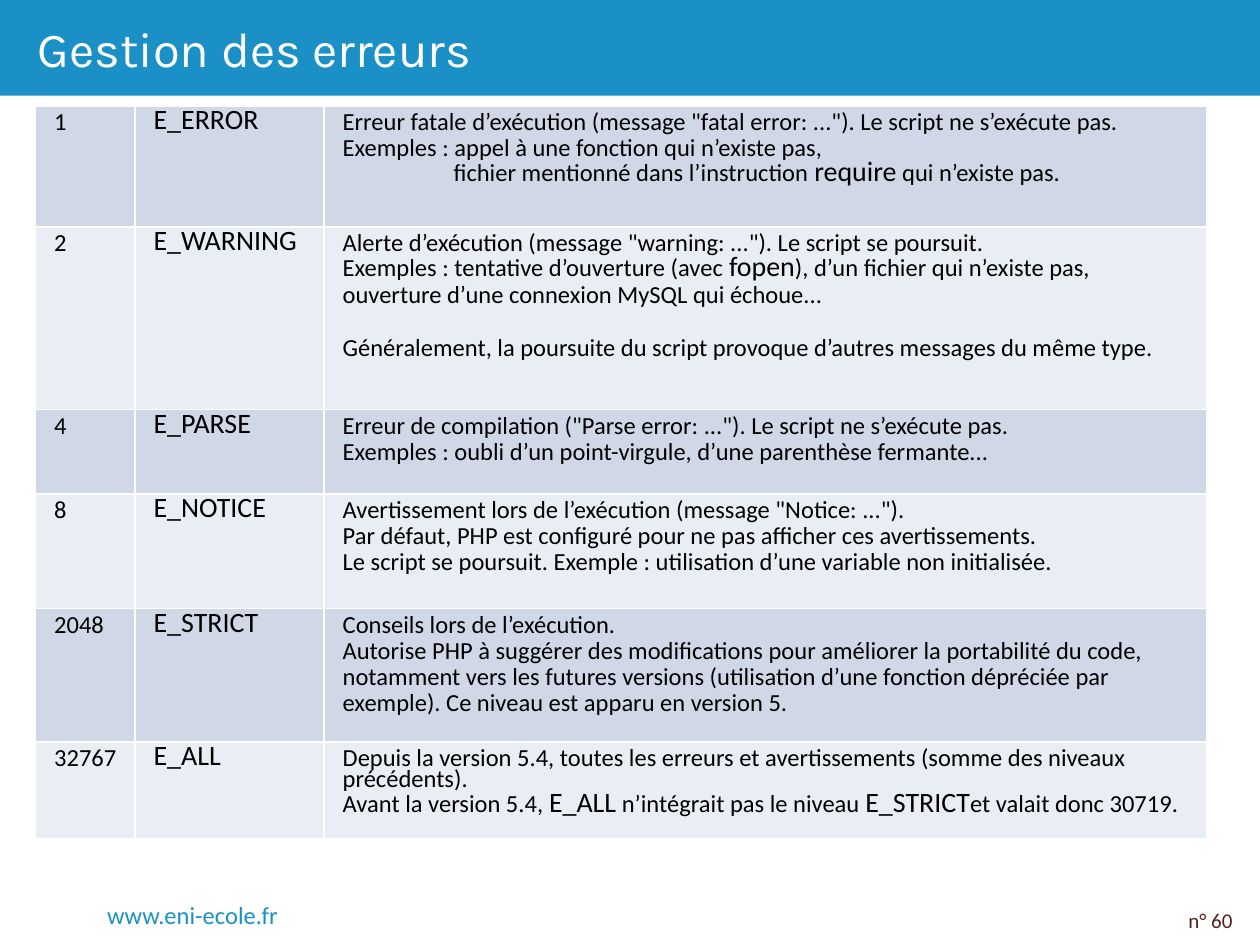
import pptx
import pptx.util
import pptx.dml.color
import pptx.enum.shapes
import pptx.enum.text
import pptx.oxml
import pptx.oxml.ns

GRID_COLUMNS, GRID_ROWS = 100, 75
ALIGN = pptx.enum.text.PP_ALIGN
ANCHOR = pptx.enum.text.MSO_ANCHOR


def color(value):
    return pptx.dml.color.RGBColor.from_string(value)


class SlideBuilder:
    BLUE, BROWN, WHITE, BLACK = "1B90C6", "571F1C", "FFFFFF", "000000"
    BANDS = ("D0D8E8", "E9EDF4")
    BODY_FONT, TITLE_FONT = "Calibri", "Karla"
    TEXT_SIZE, CODE_SIZE = 14, 16

    def __init__(self, presentation):
        self.column = presentation.slide_width / GRID_COLUMNS
        self.row = presentation.slide_height / GRID_ROWS
        self.slide = presentation.slides.add_slide(presentation.slide_layouts[5])

    def across(self, columns):
        return round(columns * self.column)

    def down(self, rows):
        return round(rows * self.row)

    def box(self, left, top, width, height):
        return self.across(left), self.down(top), self.across(width), self.down(height)

    def style(self, paragraph, size, font_color, font_name=BODY_FONT):
        font = paragraph.font
        font.name, font.size = font_name, pptx.util.Pt(size)
        font.color.rgb = color(font_color)

    def band(self, *place):
        shape = self.slide.shapes.add_shape(
            pptx.enum.shapes.MSO_SHAPE.RECTANGLE, *self.box(*place))
        shape.shadow.inherit = False
        shape.fill.solid()
        shape.fill.fore_color.rgb = color(self.BLUE)
        shape.line.fill.background()

    def title(self, text, *place):
        shape = self.slide.shapes.title
        shape.left, shape.top, shape.width, shape.height = self.box(*place)
        frame = shape.text_frame
        frame.text = text
        frame.auto_size = pptx.enum.text.MSO_AUTO_SIZE.NONE
        frame.vertical_anchor = ANCHOR.MIDDLE
        paragraph = frame.paragraphs[0]
        paragraph.alignment = ALIGN.LEFT
        self.style(paragraph, 28, self.WHITE, self.TITLE_FONT)
        # Bring the title in front of the band
        self.slide.shapes._spTree.append(shape._element)

    def text(self, text, place, size, font_color, alignment=ALIGN.LEFT, inset=True):
        frame = self.slide.shapes.add_textbox(*self.box(*place)).text_frame
        frame.word_wrap = True
        if not inset:
            frame.margin_left = frame.margin_right = 0
            frame.margin_top = frame.margin_bottom = 0
        frame.text = text
        paragraph = frame.paragraphs[0]
        paragraph.alignment = alignment
        self.style(paragraph, size, font_color)

    def table(self, rows, left, top, widths, heights):
        place = self.box(left, top, sum(widths), sum(heights))
        table = self.slide.shapes.add_table(len(rows), len(widths), *place).table
        table.first_row = table.horz_banding = False
        for column, width in zip(table.columns, widths):
            column.width = self.across(width)
        for row, height in zip(table.rows, heights):
            row.height = self.down(height)
        for row_index, (level, constant, lines) in enumerate(rows):
            contents = ([level], [f"`{constant}`"], lines)
            for column_index, content in enumerate(contents):
                cell = table.cell(row_index, column_index)
                self.cell(cell, content, self.BANDS[row_index % 2])

    def cell(self, cell, lines, fill_color):
        cell.margin_left = cell.margin_right = self.across(0.5)
        cell.margin_top, cell.margin_bottom = self.down(0.8), self.down(0.3)
        self.borders(cell)
        cell.fill.solid()
        cell.fill.fore_color.rgb = color(fill_color)
        frame = cell.text_frame
        for index, line in enumerate(lines):
            paragraph = frame.add_paragraph() if index else frame.paragraphs[0]
            self.line(paragraph, line, first=index == 0)

    def line(self, paragraph, line, first):
        """Backticks mark code words, ">" an indented line, "^" a line after a gap."""
        indented, spaced = line.startswith(">"), line.startswith("^")
        properties = paragraph._p.get_or_add_pPr()
        properties.set("marL", str(self.across(9.8 if indented else 1)))
        properties.set("indent", "0")
        paragraph.line_spacing = pptx.util.Pt(12)
        paragraph.space_before = pptx.util.Pt(0 if first else 16.5 if spaced else 1.5)
        paragraph.space_after = pptx.util.Pt(1.5)
        self.style(paragraph, self.TEXT_SIZE, self.BLACK)
        for index, piece in enumerate(line.lstrip(">^").split("`")):
            if piece:
                run = paragraph.add_run()
                run.text = piece
                if index % 2:
                    run.font.size = pptx.util.Pt(self.CODE_SIZE)

    def borders(self, cell):
        properties = cell._tc.get_or_add_tcPr()
        for side in ("lnL", "lnR", "lnT", "lnB"):
            properties.append(pptx.oxml.parse_xml(
                f'<a:{side} {pptx.oxml.ns.nsdecls("a")} w="12700"><a:solidFill>'
                f'<a:srgbClr val="{self.WHITE}"/></a:solidFill></a:{side}>'))


ERROR_LEVELS = [
    ("1", "E_ERROR", [
        'Erreur fatale d’exécution (message "fatal error: ..."). Le script ne s’exécute pas.',
        "Exemples : appel à une fonction qui n’existe pas,",
        ">fichier mentionné dans l’instruction `require` qui n’existe pas."]),
    ("2", "E_WARNING", [
        'Alerte d’exécution (message "warning: ..."). Le script se poursuit.',
        "Exemples : tentative d’ouverture (avec `fopen`), d’un fichier qui n’existe pas,",
        "ouverture d’une connexion MySQL qui échoue...",
        "^Généralement, la poursuite du script provoque d’autres messages du même type."]),
    ("4", "E_PARSE", [
        'Erreur de compilation ("Parse error: ..."). Le script ne s’exécute pas.',
        "Exemples : oubli d’un point-virgule, d’une parenthèse fermante..."]),
    ("8", "E_NOTICE", [
        'Avertissement lors de l’exécution (message "Notice: ...").',
        "Par défaut, PHP est configuré pour ne pas afficher ces avertissements.",
        "Le script se poursuit. Exemple : utilisation d’une variable non initialisée."]),
    ("2048", "E_STRICT", [
        "Conseils lors de l’exécution.",
        "Autorise PHP à suggérer des modifications pour améliorer la portabilité du code,",
        "notamment vers les futures versions (utilisation d’une fonction dépréciée par",
        "exemple). Ce niveau est apparu en version 5."]),
    ("32767", "E_ALL", [
        "Depuis la version 5.4, toutes les erreurs et avertissements "
        "(somme des niveaux précédents).",
        "Avant la version 5.4, `E_ALL` n’intégrait pas le niveau `E_STRICT`"
        "et valait donc 30719."]),
]


def main():
    presentation = pptx.Presentation()
    presentation.slide_width = pptx.util.Inches(10)
    presentation.slide_height = pptx.util.Inches(7.5)
    builder = SlideBuilder(presentation)

    # Header
    builder.band(0, 0, GRID_COLUMNS, 7.6)
    builder.title("Gestion des erreurs", 2, 0, 96.9, 7.6)

    # Footer
    builder.text("www.eni-ecole.fr", (8.5, 71.4, 32, 2.4), 14, builder.BLUE, inset=False)
    builder.text("n° 60", (89.4, 71.5, 9.4, 3), 12, builder.BROWN, ALIGN.RIGHT)

    # Error levels
    builder.table(ERROR_LEVELS, 2.8, 8.4, widths=(7.9, 15, 70.1),
                  heights=(9.6, 14.5, 6.7, 9.1, 10.6, 7.7))

    presentation.save("out.pptx")


if __name__ == "__main__":
    main()
